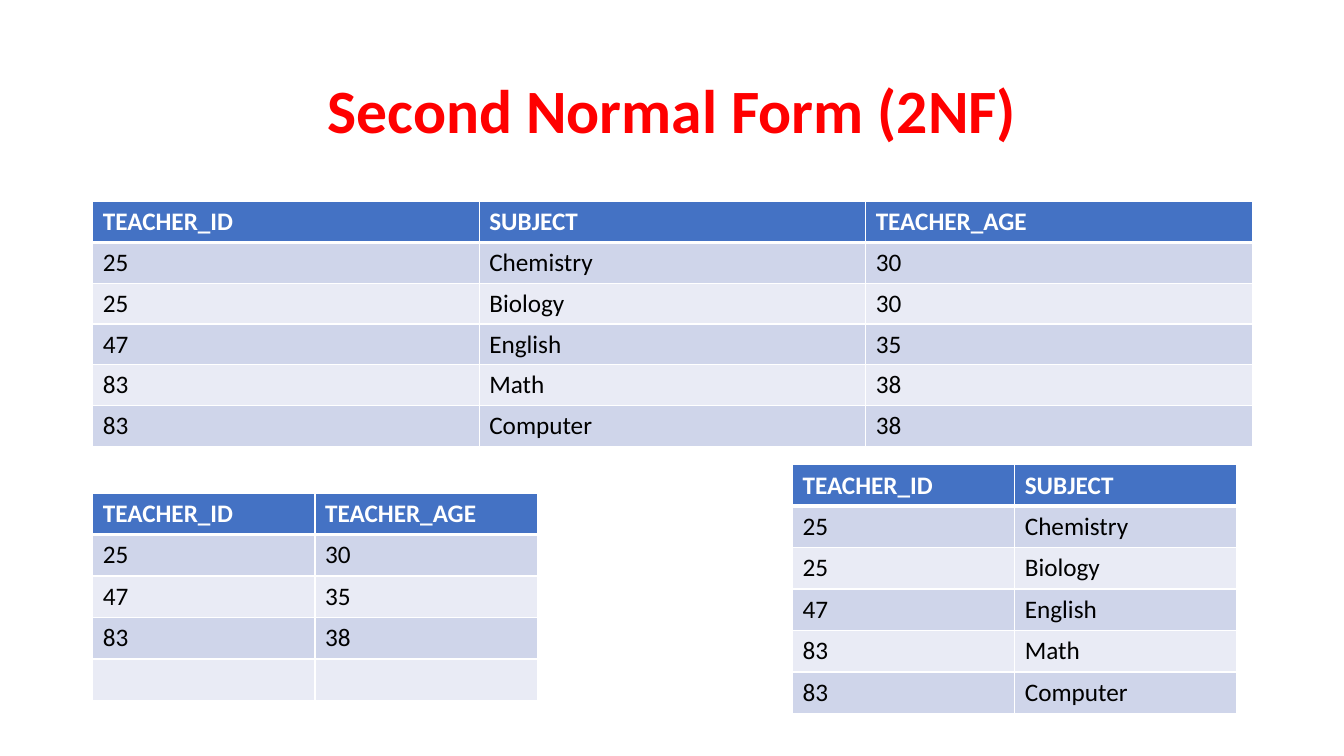
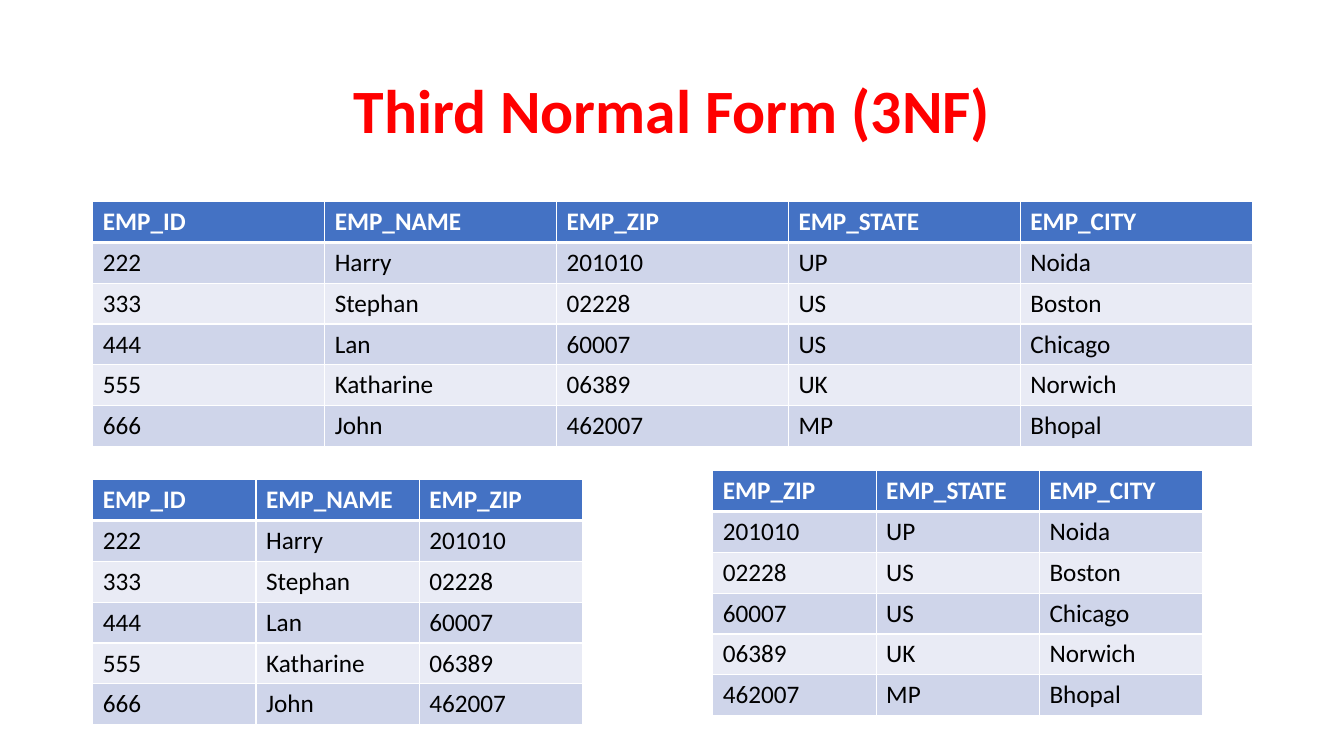
from dataclasses import dataclass

from lxml import etree
from pptx import Presentation
from pptx import util as u
from pptx.dml.color import RGBColor
from pptx.enum import text
from pptx.oxml.ns import qn


@dataclass(frozen=True)
class Theme:
    font: str = "Calibri"
    title: str = "FF0000"
    head: str = "4472C4"
    bands: tuple = ("CFD5EA", "E9EBF5")
    light: str = "FFFFFF"
    dark: str = "000000"
    big: int = 44
    body: int = 18
    thin: int = 1
    thick: int = 3


THEME = Theme()
LEFT, WIDE = 0.92, 11.5

TEACHERS = [
    ("TEACHER_ID", "SUBJECT", "TEACHER_AGE"),
    ("25", "Chemistry", "30"),
    ("25", "Biology", "30"),
    ("47", "English", "35"),
    ("83", "Math", "38"),
    ("83", "Computer", "38"),
]
STAFF = [
    ("EMP_ID", "EMP_NAME", "EMP_ZIP", "EMP_STATE", "EMP_CITY"),
    ("222", "Harry", "201010", "UP", "Noida"),
    ("333", "Stephan", "02228", "US", "Boston"),
    ("444", "Lan", "60007", "US", "Chicago"),
    ("555", "Katharine", "06389", "UK", "Norwich"),
    ("666", "John", "462007", "MP", "Bhopal"),
]


def project(rows, *names):
    """Keep the named columns and drop repeated rows."""
    picks = [rows[0].index(name) for name in names]
    return list(dict.fromkeys(tuple(row[i] for i in picks) for row in rows))


def add_run(para, words, size, color, bold):
    run = para.add_run()
    run.text = words
    run.font.name = THEME.font
    run.font.size = u.Pt(size)
    run.font.bold = bold
    run.font.color.rgb = RGBColor.from_string(color)


def add_title(slide, words):
    box = slide.shapes.add_textbox(
        u.Inches(LEFT), u.Inches(0.4), u.Inches(WIDE), u.Inches(1.45))
    frame = box.text_frame
    frame.word_wrap = True
    frame.vertical_anchor = text.MSO_ANCHOR.MIDDLE
    para = frame.paragraphs[0]
    para.alignment = text.PP_ALIGN.CENTER
    para.line_spacing = 0.9
    add_run(para, words, THEME.big, THEME.title, True)


def add_edges(cell, row):
    """Draw thin cell borders, with a thick one under the header row."""
    props = cell._tc.get_or_add_tcPr()
    for side in "LRTB":
        heavy = (row, side) in ((0, "B"), (1, "T"))
        width = u.Pt(THEME.thick if heavy else THEME.thin)
        line = etree.SubElement(props, qn(f"a:ln{side}"), w=str(width))
        fill = etree.SubElement(line, qn("a:solidFill"))
        etree.SubElement(fill, qn("a:srgbClr"), val=THEME.light)


def fill_cell(cell, row, words):
    head = row == 0
    add_edges(cell, row)
    cell.fill.solid()
    cell.fill.fore_color.rgb = RGBColor.from_string(
        THEME.head if head else THEME.bands[(row - 1) % 2])
    cell.vertical_anchor = text.MSO_ANCHOR.MIDDLE
    if words:
        add_run(cell.text_frame.paragraphs[0], words, THEME.body,
                THEME.light if head else THEME.dark, head)


def add_grid(slide, rows, left, top, width, height):
    """Add a table with equal columns and equal rows."""
    table = slide.shapes.add_table(
        len(rows), len(rows[0]), u.Inches(left), u.Inches(top),
        u.Inches(width), u.Inches(height)).table
    for r, row in enumerate(rows):
        for c, words in enumerate(row):
            fill_cell(table.cell(r, c), r, words)


def add_page(deck, title, rows, *parts):
    """Add a slide with the full table and the tables it splits into."""
    slide = deck.slides.add_slide(deck.slide_layouts[6])
    add_title(slide, title)
    add_grid(slide, rows, LEFT, 2, WIDE, 2.43)
    for part in parts:
        add_grid(slide, *part)


def main():
    deck = Presentation()
    deck.slide_width, deck.slide_height = u.Inches(13.33), u.Inches(7.5)
    ages = project(TEACHERS, "TEACHER_ID", "TEACHER_AGE") + [("", "")]
    subjects = project(TEACHERS, "TEACHER_ID", "SUBJECT")
    add_page(deck, "Second Normal Form (2NF)", TEACHERS,
             (ages, LEFT, 4.89, 4.41, 2.06),
             (subjects, 7.86, 4.61, 4.41, 2.47))
    people = project(STAFF, "EMP_ID", "EMP_NAME", "EMP_ZIP")
    places = project(STAFF, "EMP_ZIP", "EMP_STATE", "EMP_CITY")
    add_page(deck, "Third Normal Form (3NF)", STAFF,
             (people, LEFT, 4.76, 4.86, 2.43),
             (places, 7.07, 4.67, 4.86, 2.43))
    deck.save("out.pptx")


if __name__ == "__main__":
    main()
